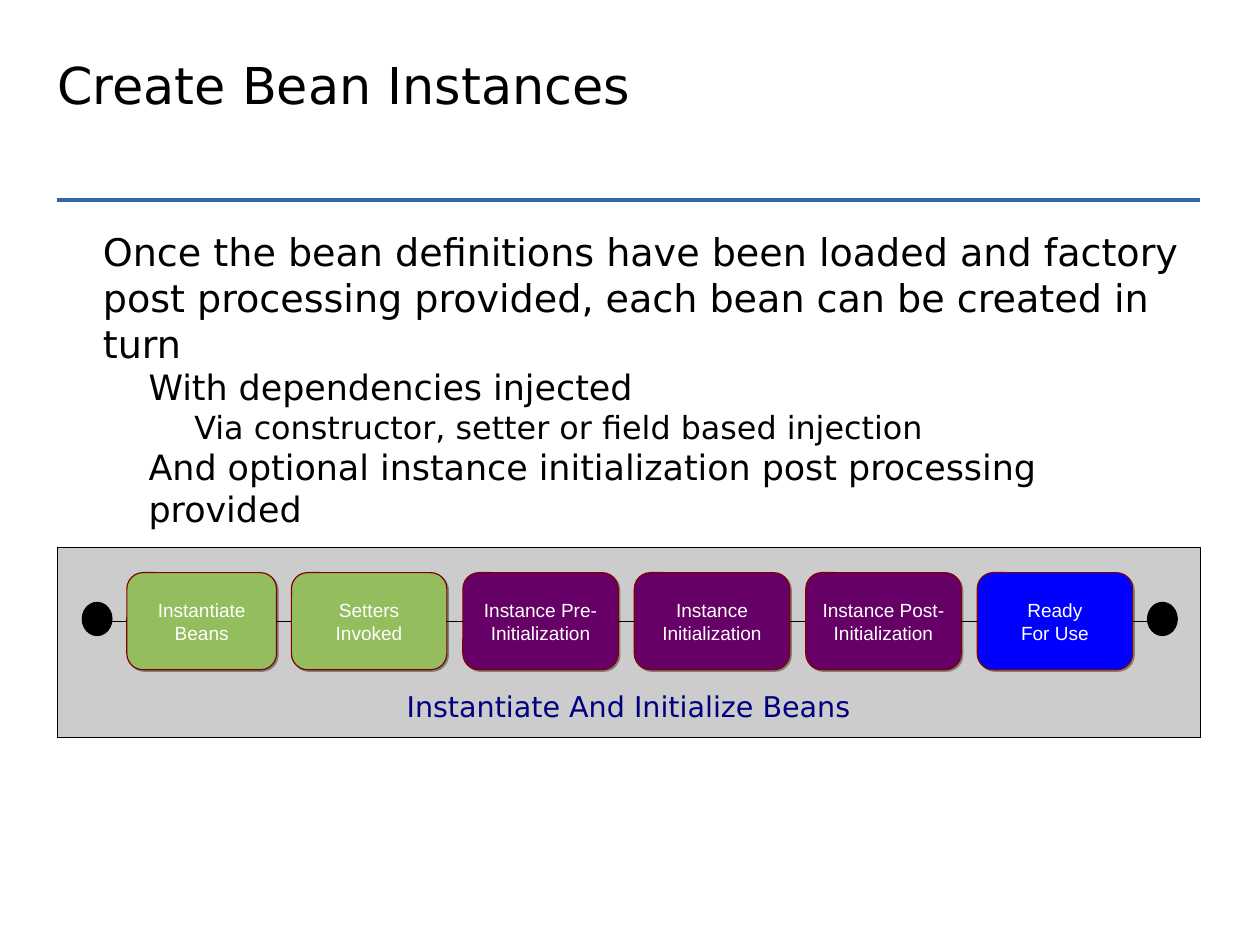
import pptx
import pptx.util
import pptx.dml.color
import pptx.enum.shapes
import pptx.enum.text
import pptx.oxml
import pptx.oxml.ns
import lxml.etree

Inches = pptx.util.Inches
Pt = pptx.util.Pt
Kind = pptx.enum.shapes.MSO_SHAPE
Align = pptx.enum.text.PP_ALIGN
Anchor = pptx.enum.text.MSO_ANCHOR

COLORS = {
    "black": "000000", "white": "FFFFFF", "rule": "3465A4", "panel": "CCCCCC",
    "edge": "800000", "shade": "808080", "label": "000080",
    "green": "94BD5E", "purple": "660066", "blue": "0000FF",
}
POINTS = [
    (0, 24, "Once the bean definitions have been loaded and factory post "
            "processing provided, each bean can be created in turn"),
    (1, 22, "With dependencies injected"),
    (2, 20, "Via constructor, setter or field based injection"),
    (1, 22, "And optional instance initialization post processing provided"),
]
STAGES = [
    ("Instantiate\nBeans", "green"),
    ("Setters\nInvoked", "green"),
    ("Instance Pre-\nInitialization", "purple"),
    ("Instance\nInitialization", "purple"),
    ("Instance Post-\nInitialization", "purple"),
    ("Ready\nFor Use", "blue"),
]
MID = 5.43
THIN = 0.01


def color(name):
    return pptx.dml.color.RGBColor.from_string(COLORS[name])


def style(par, size, face, tint, align):
    par.alignment = align
    par.font.size = Pt(size)
    par.font.name = face
    par.font.color.rgb = color(tint)


def place(shape, left, top, width, height):
    shape.left, shape.top = Inches(left), Inches(top)
    shape.width, shape.height = Inches(width), Inches(height)
    frame = shape.text_frame
    frame.margin_left = frame.margin_right = 0
    frame.margin_top = frame.margin_bottom = 0
    frame.word_wrap = True
    frame.auto_size = pptx.enum.text.MSO_AUTO_SIZE.NONE
    frame.vertical_anchor = Anchor.TOP
    return frame


def add_title(slide, text):
    frame = place(slide.shapes.title, 0.5, 0.47, 10, 1)
    frame.text = text
    style(frame.paragraphs[0], 32, "DejaVu Sans", "black", Align.LEFT)


def add_list(slide, points):
    frame = place(slide.placeholders[1], 0.5, 2, 10, 5.75)
    frame.text = "\n".join(text for _, _, text in points)
    for par, (level, size, _) in zip(frame.paragraphs, points):
        par.level = level
        props = par._p.get_or_add_pPr()
        props.set("marL", str(Inches(0.4 * (level + 1))))
        props.set("indent", "0")
        lxml.etree.SubElement(props, pptx.oxml.ns.qn("a:buNone"))
        par.space_before = Pt(0)
        style(par, size, "DejaVu Sans", "black", Align.LEFT)


def add_block(slide, kind, left, top, width, height, fill, edge, weight):
    shape = slide.shapes.add_shape(
        kind, Inches(left), Inches(top), Inches(width), Inches(height))
    shape.shadow.inherit = False
    shape.fill.solid()
    shape.fill.fore_color.rgb = color(fill)
    shape.line.color.rgb = color(edge)
    shape.line.width = Pt(weight)
    return shape


def add_dot(slide, left):
    return add_block(slide, Kind.OVAL, left, MID - 0.16, 0.26, 0.29,
                     "black", "black", 0.75)


def add_stage(slide, left, width, text, fill):
    box = add_block(slide, Kind.ROUNDED_RECTANGLE, left, MID - 0.42, width, 0.85,
                    fill, "edge", 0.75)
    effects = box._element.spPr.find(pptx.oxml.ns.qn("a:effectLst"))
    effects.append(pptx.oxml.parse_xml(
        f'<a:outerShdw {pptx.oxml.ns.nsdecls("a")} dist="{Pt(1.4)}" dir="2700000">'
        f'<a:srgbClr val="{COLORS["shade"]}"/></a:outerShdw>'))
    frame = box.text_frame
    frame.vertical_anchor = Anchor.MIDDLE
    frame.text = text
    for par in frame.paragraphs:
        style(par, 12, "Arial", "white", Align.CENTER)
    return box


def add_label(slide, text):
    box = slide.shapes.add_textbox(Inches(0.5), Inches(5.98), Inches(10), Inches(0.44))
    box.text_frame.word_wrap = True
    box.text_frame.text = text
    style(box.text_frame.paragraphs[0], 18, "DejaVu Sans", "label", Align.CENTER)


def add_line(slide, start, end, top, tint, weight):
    line = slide.shapes.add_connector(
        pptx.enum.shapes.MSO_CONNECTOR.STRAIGHT, start, top, end, top)
    line.line.color.rgb = color(tint)
    line.line.width = Pt(weight)
    lxml.etree.SubElement(line._element.spPr, pptx.oxml.ns.qn("a:effectLst"))
    return line


def add_link(slide, first, second):
    middle = Inches(MID)
    for box in (first, second):
        if box.auto_shape_type == Kind.ROUNDED_RECTANGLE:
            middle = box.top + box.height // 2
    line = add_line(slide, first.left + first.width, second.left, middle, "black", THIN)
    if first.auto_shape_type == Kind.ROUNDED_RECTANGLE:
        line.begin_connect(first, 3)
    if second.auto_shape_type == Kind.ROUNDED_RECTANGLE:
        line.end_connect(second, 1)


def add_flow(slide):
    add_block(slide, Kind.RECTANGLE, 0.5, 4.79, 10, 1.66, "panel", "black", THIN)
    nodes = [add_dot(slide, 0.72)]
    for i, (text, fill) in enumerate(STAGES):
        left, width = (1.05 + 1.5 * i, 1.36) if i else (1.11, 1.31)
        nodes.append(add_stage(slide, left, width, text, fill))
    nodes.append(add_dot(slide, 10.04))
    for first, second in zip(nodes, nodes[1:]):
        add_link(slide, first, second)
    add_label(slide, "Instantiate And Initialize Beans")


def main():
    deck = pptx.Presentation()
    deck.slide_width, deck.slide_height = Inches(28 / 2.54), Inches(21 / 2.54)
    slide = deck.slides.add_slide(deck.slide_layouts[1])
    add_line(slide, Inches(0.5), Inches(10.5), Inches(1.75), "rule", 2.89)
    add_title(slide, "Create Bean Instances")
    add_list(slide, POINTS)
    add_flow(slide)
    deck.save("out.pptx")


if __name__ == "__main__":
    main()
